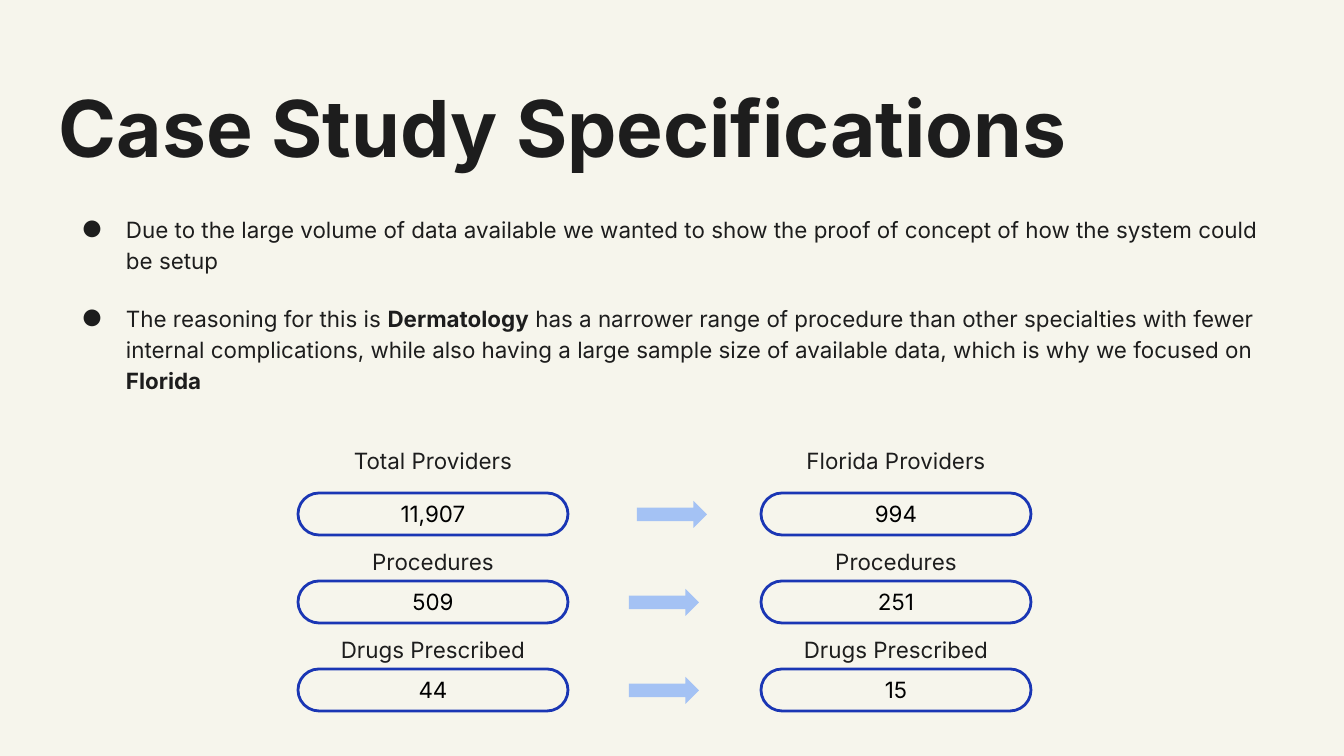
"""Build the Case Study Specifications slide."""
from lxml import etree
from pptx import Presentation
from pptx.dml.color import RGBColor
from pptx.enum.shapes import MSO_SHAPE as SHAPE
from pptx.enum.text import MSO_ANCHOR as ANCHOR, PP_ALIGN as ALIGN
from pptx.oxml.ns import qn
from pptx.util import Emu, Pt

PX = 6804
INK, PAPER, BLUE, SKY = "1D1D1D", "F6F5EC", "1A36B4", "A4C2F4"


def rgb(value):
    return RGBColor.from_string(value)


def write(sp, paragraphs, size=12, color=INK, align=ALIGN.CENTER, anchor=ANCHOR.TOP):
    tf = sp.text_frame
    tf.word_wrap = True
    tf.vertical_anchor = anchor
    tf.margin_left = tf.margin_right = tf.margin_top = tf.margin_bottom = Emu(13 * PX)
    for i, runs in enumerate(paragraphs):
        p = tf.add_paragraph() if i else tf.paragraphs[0]
        p.alignment = align
        for text, bold in runs:
            r = p.add_run()
            r.text = text
            r.font.name = "Inter"
            r.font.size = Pt(size)
            r.font.bold = bold
            r.font.color.rgb = rgb(color)
    return tf


prs = Presentation()
prs.slide_width, prs.slide_height = Emu(1344 * PX), Emu(756 * PX)
s = prs.slides.add_slide(prs.slide_layouts[6])
s.background.fill.solid()
s.background.fill.fore_color.rgb = rgb(PAPER)

title = s.shapes.add_textbox(46 * PX, 66 * PX, 1252 * PX, 85 * PX)
write(title, [[("Case Study Specifications", True)]], size=42, align=ALIGN.LEFT)

points = [
    [("Due to the large volume of data available we wanted to show the proof of "
      "concept of how the system could be setup", False)],
    [("The reasoning for this is ", False),
     ("Dermatology", True),
     (" has a narrower range of procedure than other specialties with fewer internal "
      "complications, while also having a large sample size of available data, "
      "which is why we focused on ", False),
     ("Florida", True)],
]
body = s.shapes.add_textbox(46 * PX, 199 * PX, 1230 * PX, 238 * PX)
tf = write(body, points, align=ALIGN.LEFT)
for p in tf.paragraphs:
    p.line_spacing = 1.15
    pPr = p._p.get_or_add_pPr()
    pPr.set("marL", str(67 * PX))
    pPr.set("indent", str(-44 * PX))
    buClr = etree.SubElement(pPr, qn("a:buClr"))
    etree.SubElement(buClr, qn("a:srgbClr"), val=INK)
    etree.SubElement(pPr, qn("a:buFont"), typeface="Inter")
    etree.SubElement(pPr, qn("a:buChar"), char="●")
tf.paragraphs[1].space_before = Pt(14.5)

columns = [
    (298, [("Total Providers", "11,907"), ("Procedures", "509"), ("Drugs Prescribed", "44")]),
    (761, [("Florida Providers", "994"), ("Procedures", "251"), ("Drugs Prescribed", "15")]),
]
label_tops = [434, 535, 623]
for left, rows in columns:
    for i, (label, value) in enumerate(rows):
        sp = s.shapes.add_shape(SHAPE.ROUNDED_RECTANGLE, left * PX, (493 + 88 * i) * PX,
                                270 * PX, 42 * PX)
        sp.adjustments[0] = 0.5
        sp.shadow.inherit = False
        sp.fill.solid()
        sp.fill.fore_color.rgb = rgb(PAPER)
        sp.line.color.rgb = rgb(BLUE)
        sp.line.width = Pt(1.5)
        write(sp, [[(value, False)]], color="000000", anchor=ANCHOR.MIDDLE)
        box = s.shapes.add_textbox(left * PX, label_tops[i] * PX, 270 * PX, 50 * PX)
        write(box, [[(label, False)]])

for i, left in enumerate([637, 629, 629]):
    arrow = s.shapes.add_shape(SHAPE.RIGHT_ARROW, left * PX, (501 + 88 * i) * PX,
                               70 * PX, 27 * PX)
    arrow.shadow.inherit = False
    arrow.fill.solid()
    arrow.fill.fore_color.rgb = rgb(SKY)
    arrow.line.fill.background()

prs.save("out.pptx")
